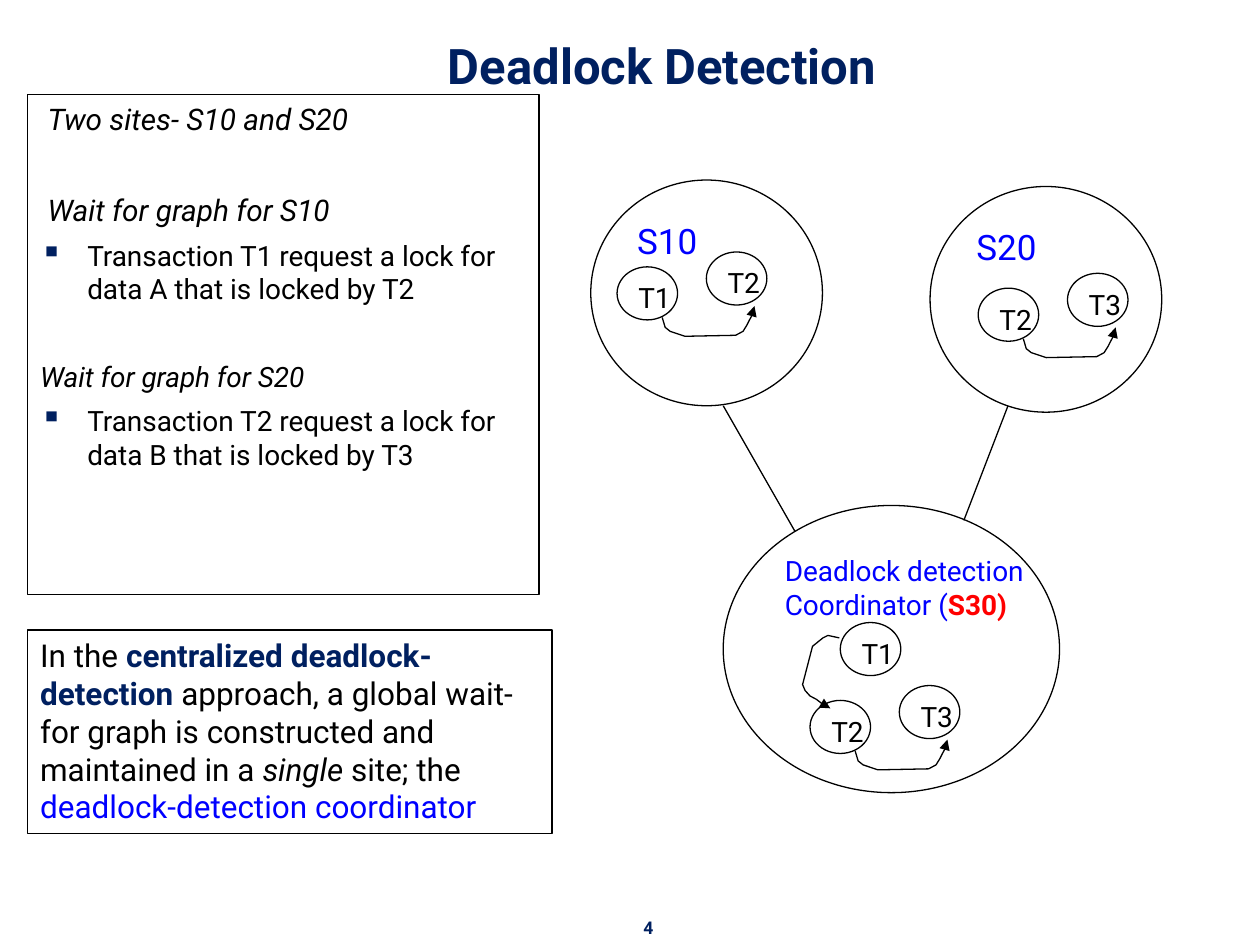
from lxml import etree
from pptx import Presentation
from pptx import util as u
from pptx.dml.color import RGBColor
from pptx.enum import shapes, text
from pptx.oxml import ns

Cm, Pt = u.Cm, u.Pt
FONT, NAVY, BLUE, RED, BLACK, WHITE = "Roboto", "002060", "0000FF", "FF0000", "000000", "FFFFFF"
NODE_W, NODE_H = 1.22, 1.07
# Arrow points, relative to a pair of nodes and to the coordinator
PAIR_ARROW = [(0.91, 1.32), (0.97, 1.52), (1.07, 1.6), (1.37, 1.7), (2.39, 1.68),
              (2.54, 1.6), (2.62, 1.47), (2.67, 1.37), (2.74, 1.24), (2.77, 1.09)]
COORD_ARROW = [(2.34, 2.67), (2.11, 2.62), (2.01, 2.67), (1.8, 2.84), (1.6, 3.61),
               (1.65, 3.73), (1.75, 3.84), (1.88, 3.91), (2.01, 4.01), (2.16, 4.09)]


def rgb(color):
    return RGBColor.from_string(color)


def sub(parent, tag, **attrs):
    return etree.SubElement(parent, ns.qn(tag), attrs)


def outline(sp):
    sp.line.color.rgb = rgb(BLACK)
    sp.line.width = Pt(0.75)


def style(font, size=None, color=None, bold=None, italic=None):
    if size:
        font.size, font.name = Pt(size), FONT
    if color:
        font.color.rgb = rgb(color)
    if bold is not None:
        font.bold = bold
    if italic is not None:
        font.italic = italic


def write(p, runs, size, **look):
    """Fill a paragraph; each run is a string or (string, own look)."""
    style(p.font, size, **look)
    for run in runs:
        label, own = (run, {}) if isinstance(run, str) else run
        r = p.add_run()
        r.text = label
        style(r.font, **own)


def text_box(s, x, y, w, h, border=False):
    sp = s.shapes.add_textbox(Cm(x), Cm(y), Cm(w), Cm(h))
    sp.text_frame.word_wrap = True
    if border:
        outline(sp)
    return sp.text_frame


def ellipse(group, x, y, w, h, lines, size, color):
    sp = group.shapes.add_shape(shapes.MSO_SHAPE.OVAL, Cm(x), Cm(y), Cm(w), Cm(h))
    sp.shadow.inherit = False
    sp.fill.solid()
    sp.fill.fore_color.rgb = rgb(WHITE)
    outline(sp)
    tf = sp.text_frame
    tf.word_wrap = False
    tf.vertical_anchor = text.MSO_ANCHOR.TOP
    for i, runs in enumerate(lines):
        p = tf.add_paragraph() if i else tf.paragraphs[0]
        p.alignment = text.PP_ALIGN.LEFT
        write(p, runs, size, color=color)


def node(group, x, y, label):
    ellipse(group, x, y, NODE_W, NODE_H, [[label]], 16, BLACK)


def arrow(group, x, y, points):
    pts = [(Cm(x + dx), Cm(y + dy)) for dx, dy in points]
    builder = group.shapes.build_freeform(*pts[0])
    builder.add_line_segments(pts[1:], close=False)
    sp = builder.convert_to_shape()
    sp.shadow.inherit = False
    sp.fill.background()
    outline(sp)
    sub(sp.line._get_or_add_ln(), "a:tailEnd", type="triangle")


def link(group, x1, y1, x2, y2):
    line = group.shapes.add_connector(shapes.MSO_CONNECTOR.STRAIGHT, Cm(x1), Cm(y1), Cm(x2), Cm(y2))
    outline(line)
    sub(line._element.spPr, "a:effectLst")


def wait_pair(group, x, y, waiter, holder):
    node(group, x, y + 0.3, waiter)
    node(group, x + 1.8, y, holder)
    arrow(group, x, y, PAIR_ARROW)


def site(s, x, y, name, dx, dy, waiter, holder):
    group = s.shapes.add_group_shape()
    ellipse(group, x, y, 4.67, 4.55, [[name]], 20, BLUE)
    wait_pair(group, x + dx, y + dy, waiter, holder)


def coordinator(s, x, y):
    group = s.shapes.add_group_shape()
    lines = [["Deadlock detection"], ["Coordinator (", ("S30)", dict(color=RED, bold=True))]]
    ellipse(group, x, y, 6.78, 5.79, lines, 16, BLUE)
    wait_pair(group, x + 1.75, y + 3.63, "T2", "T3")
    node(group, x + 2.36, y + 2.36, "T1")
    arrow(group, x, y, COORD_ARROW)
    link(group, x, y - 2.01, x + 1.45, y + 0.53)
    link(group, x + 5.74, y - 2.01, x + 4.85, y + 0.3)


def heading(s, x, y, w, h, label, size, anchor):
    tf = text_box(s, x, y, w, h)
    tf.vertical_anchor = anchor
    p = tf.paragraphs[0]
    p.alignment = text.PP_ALIGN.CENTER
    write(p, [label], size, color=NAVY, bold=True)


def wait_graphs(s, x, y, w, h):
    tf = text_box(s, x, y, w, h, border=True)
    # Text, size, left indent, space before, bulleted
    items = [
        ("Two sites- S10 and S20", 17, 0.15, 6, False),
        ("Wait for graph for S10", 17, 0.15, 32, False),
        ("Transaction T1 request a lock for data A that is locked by T2", 16, 0.95, 6, True),
        ("Wait for graph for S20", 16, 0, 31, False),
        ("Transaction T2 request a lock for data B that is locked by T3", 16, 0.95, 6, True),
    ]
    for i, (label, size, indent, before, bullet) in enumerate(items):
        p = tf.add_paragraph() if i else tf.paragraphs[0]
        p.space_before = Pt(before)
        pPr = p._p.get_or_add_pPr()
        pPr.set("marL", str(Cm(indent)))
        pPr.set("indent", str(-Cm(indent) if bullet else 0))
        if bullet:
            sub(sub(pPr, "a:buClr"), "a:srgbClr", val=NAVY)
            sub(pPr, "a:buSzPct", val="110000")
            sub(pPr, "a:buChar", char="▪")
        write(p, [label], size, color=BLACK, italic=not bullet)


def summary(s, x, y, w, h):
    tf = text_box(s, x, y, w, h, border=True)
    write(tf.paragraphs[0], [
        "In the ",
        ("centralized deadlock-detection", dict(color=NAVY, bold=True)),
        " approach, a global wait-for graph is constructed and maintained in a ",
        ("single ", dict(italic=True)),
        "site; the ",
        ("deadlock-detection coordinator", dict(color=BLUE)),
    ], 18, color=BLACK)


prs = Presentation()
prs.slide_width, prs.slide_height = Cm(25.4), Cm(19.05)
s = prs.slides.add_slide(prs.slide_layouts[6])

# Title and page number
heading(s, 2.13, 0.33, 22.43, 1.7, "Deadlock Detection", 28, text.MSO_ANCHOR.BOTTOM)
heading(s, 12.6, 18.36, 0.94, 0.69, "4", 10, text.MSO_ANCHOR.TOP)

# Text panels
wait_graphs(s, 0.56, 1.9, 10.31, 10.08)
summary(s, 0.56, 12.7, 10.57, 4.11)

# Sites and the coordinator
site(s, 11.91, 3.63, "S10", 0.53, 1.45, "T1", "T2")
site(s, 18.75, 3.76, "S20", 0.97, 1.75, "T2", "T3")
coordinator(s, 14.58, 10.19)

prs.save("out.pptx")
